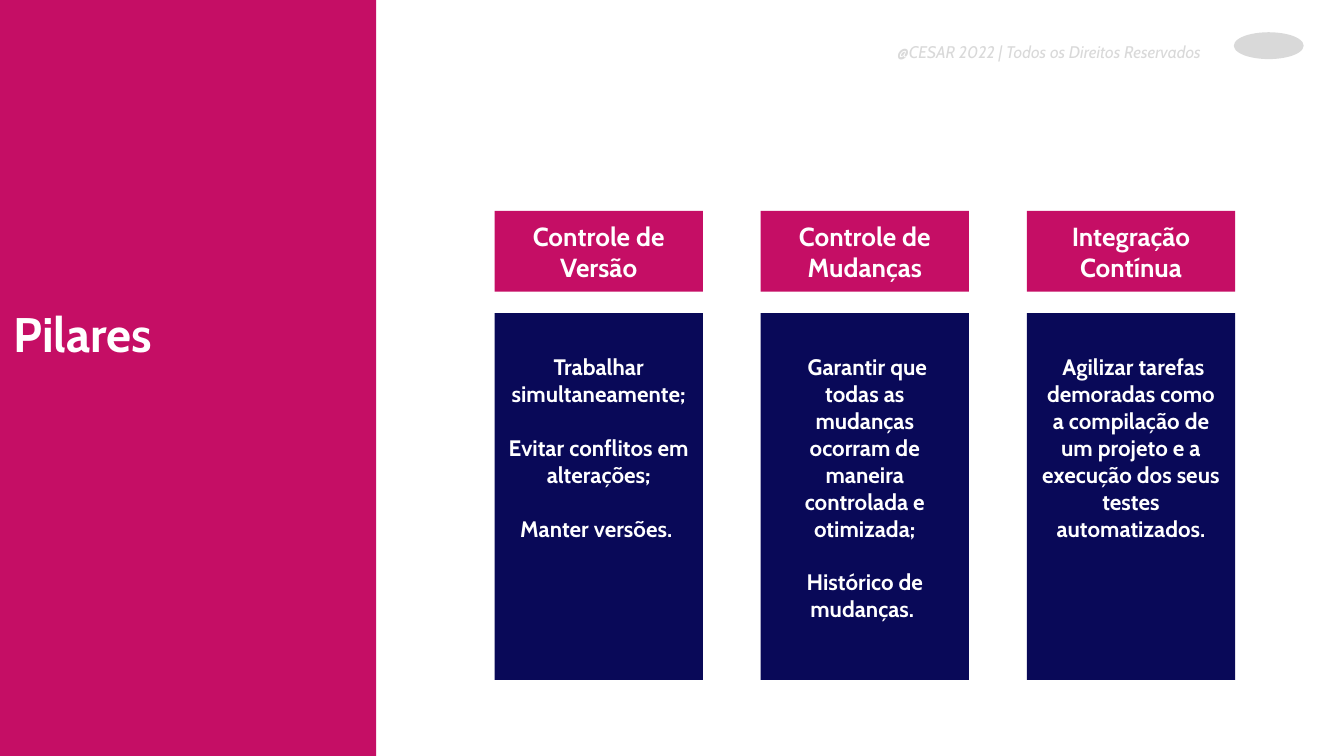
from dataclasses import dataclass

from pptx import Presentation
from pptx.dml.color import RGBColor
from pptx.enum.shapes import MSO_SHAPE
from pptx.enum.text import MSO_ANCHOR, MSO_AUTO_SIZE, PP_ALIGN
from pptx.shapes.autoshape import Shape
from pptx.slide import Slide
from pptx.util import Inches, Pt

COLORS = {"magenta": "C50E65", "navy": "090958", "gray": "D9D9D9", "white": "FFFFFF"}
CENTERED = {"alignment": PP_ALIGN.CENTER}
SLIDE_WIDTH = 10
SLIDE_HEIGHT = SLIDE_WIDTH * 9 / 16


@dataclass(frozen=True)
class Box:
    left: float
    top: float
    width: float
    height: float

    def lengths(self) -> tuple:
        return tuple(Inches(n) for n in (self.left, self.top, self.width, self.height))


@dataclass(frozen=True)
class Pillar:
    name: str
    goals: tuple[str, ...]


PILLARS = (
    Pillar(
        "Controle de Versão",
        (
            "Trabalhar simultaneamente;",
            "Evitar conflitos em alterações;",
            "Manter versões. ",
        ),
    ),
    Pillar(
        "Controle de Mudanças",
        (
            " Garantir que todas as mudanças ocorram de maneira controlada e otimizada;",
            "Histórico de mudanças. ",
        ),
    ),
    Pillar(
        "Integração Contínua",
        (
            " Agilizar tarefas demoradas como a compilação de um projeto "
            "e a execução dos seus testes automatizados.",
        ),
    ),
)
PILLAR_LEFT, PILLAR_STEP, PILLAR_WIDTH = 3.68, 1.98, 1.55


def set_all(target: object, values: dict) -> None:
    """Set each named attribute of the target."""
    for name, value in values.items():
        setattr(target, name, value)


def draw_shape(slide: Slide, preset: MSO_SHAPE, box: Box, color: str) -> Shape:
    """Draw a flat filled shape without outline."""
    shape = slide.shapes.add_shape(preset, *box.lengths())
    shape.shadow.inherit = False
    shape.fill.solid()
    shape.fill.fore_color.rgb = RGBColor.from_string(COLORS[color])
    shape.line.fill.background()
    return shape


def write(
    shape: Shape,
    paragraphs: tuple[str, ...],
    font: dict,
    color: str = "white",
    layout: dict = CENTERED,
    anchor: MSO_ANCHOR = MSO_ANCHOR.TOP,
    inset: float = 0.1,
    top_inset: float = 0.1,
    gap: float = 0,
) -> None:
    """Fill a shape with formatted paragraphs separated by a gap in points."""
    frame = shape.text_frame
    side = Inches(inset)
    set_all(frame, {
        "word_wrap": True, "auto_size": MSO_AUTO_SIZE.NONE, "vertical_anchor": anchor,
        "margin_left": side, "margin_right": side, "margin_bottom": side,
        "margin_top": Inches(top_inset),
    })
    for index, text in enumerate(paragraphs):
        paragraph = frame.add_paragraph() if index else frame.paragraphs[0]
        set_all(paragraph, layout)
        if index:
            paragraph.space_before = Pt(gap)
        run = paragraph.add_run()
        run.text = text
        set_all(run.font, {"name": "Cabin", **font})
        run.font.color.rgb = RGBColor.from_string(COLORS[color])


def draw_pillar(slide: Slide, pillar: Pillar, left: float) -> None:
    """Draw a pillar's heading and the goals below it."""
    heading = draw_shape(
        slide, MSO_SHAPE.RECTANGLE, Box(left, 1.57, PILLAR_WIDTH, 0.6), "magenta"
    )
    write(heading, (pillar.name,), {"size": Pt(14), "bold": True}, anchor=MSO_ANCHOR.MIDDLE)
    goals = draw_shape(
        slide, MSO_SHAPE.RECTANGLE, Box(left, 2.33, PILLAR_WIDTH, 2.73), "navy"
    )
    write(goals, pillar.goals, {"size": Pt(12), "bold": True}, top_inset=0.3, gap=14.4)


def draw_title(slide: Slide) -> None:
    """Draw the side panel and place the title over it."""
    panel = draw_shape(slide, MSO_SHAPE.RECTANGLE, Box(0, 0, 2.8, SLIDE_HEIGHT), "magenta")
    title = slide.shapes.title
    title.element.addprevious(panel.element)
    places = zip(("left", "top", "width", "height"), Box(0, 2.16, 2.8, 1.06).lengths())
    set_all(title, dict(places))
    write(
        title, ("Pilares",), {"size": Pt(26), "bold": True},
        layout={"alignment": PP_ALIGN.LEFT},
    )


def draw_header(slide: Slide) -> None:
    """Draw the rights notice and the emblem beside it."""
    notice = slide.shapes.add_textbox(*Box(6.47, 0.24, 2.7, 0.36).lengths())
    write(
        notice, ("@CESAR 2022 | Todos os Direitos Reservados ",),
        {"size": Pt(9), "italic": True}, color="gray", inset=0.07, top_inset=0.07,
    )
    draw_shape(slide, MSO_SHAPE.OVAL, Box(9.18, 0.24, 0.52, 0.2), "gray")


def main() -> None:
    """Build and save the slide."""
    deck = Presentation()
    deck.slide_width, deck.slide_height = Inches(SLIDE_WIDTH), Inches(SLIDE_HEIGHT)
    slide = deck.slides.add_slide(deck.slide_layouts[5])
    draw_title(slide)
    draw_header(slide)
    for index, pillar in enumerate(PILLARS):
        draw_pillar(slide, pillar, PILLAR_LEFT + index * PILLAR_STEP)
    deck.save("out.pptx")


if __name__ == "__main__":
    main()
